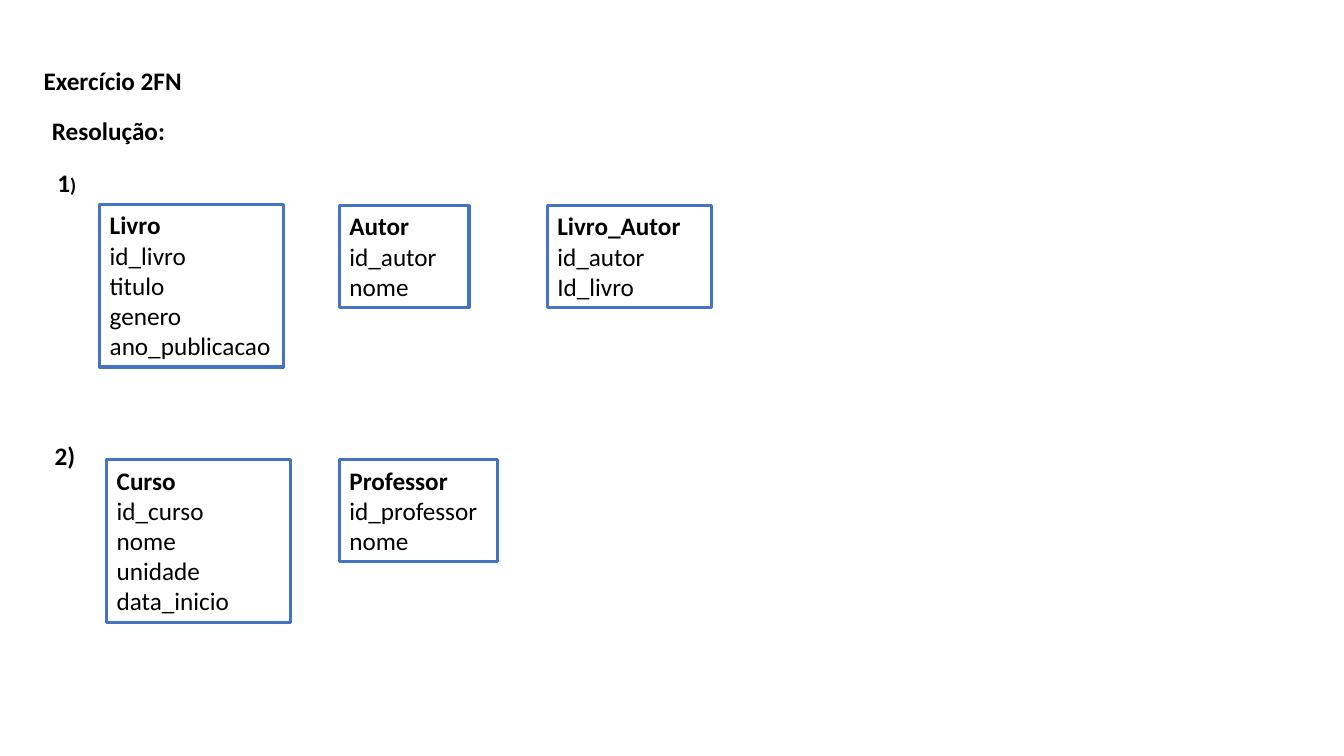
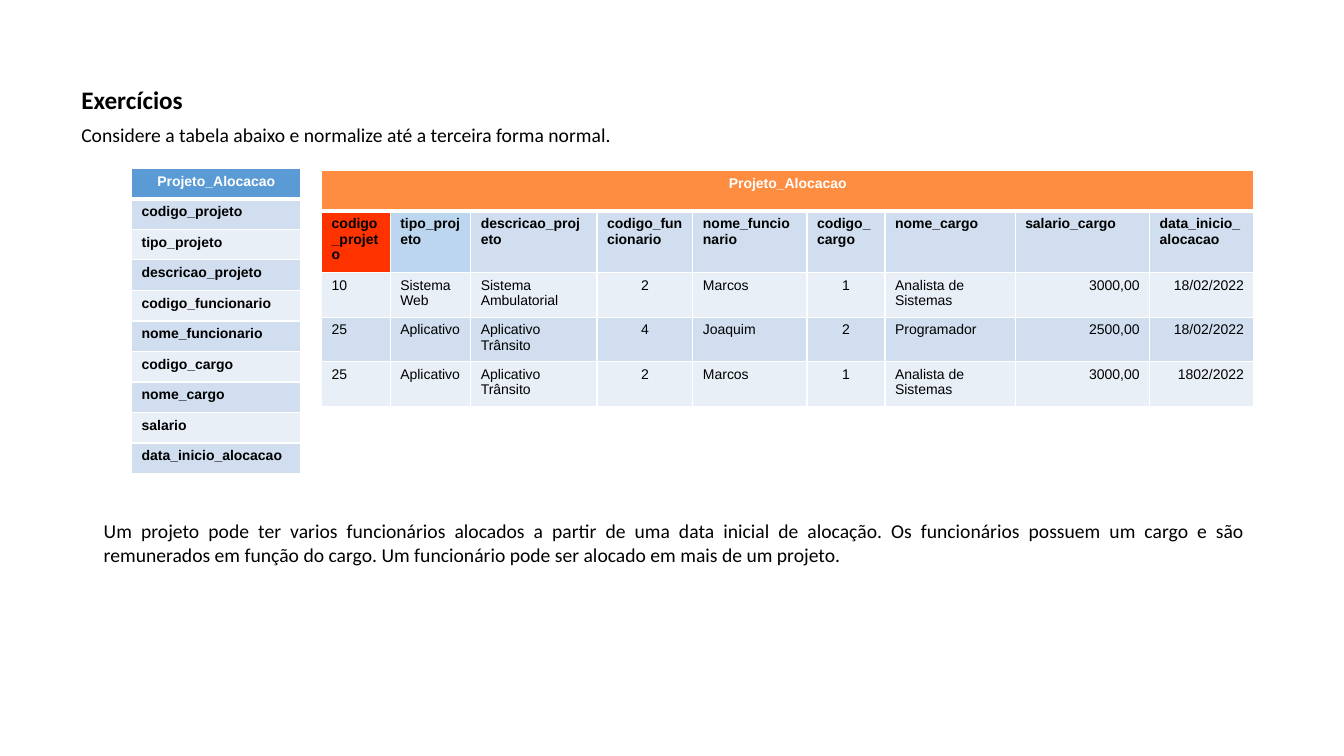
from dataclasses import dataclass

from lxml import etree
from pptx import Presentation
from pptx.dml import color
from pptx.enum import shapes, text
from pptx.oxml import ns
from pptx.util import Pt

LEFT, CENTER, RIGHT, JUSTIFY = (
    text.PP_ALIGN.LEFT, text.PP_ALIGN.CENTER, text.PP_ALIGN.RIGHT, text.PP_ALIGN.JUSTIFY)


@dataclass(frozen=True)
class Theme:
    text_font: str = "Calibri"
    table_font: str = "Arial"
    heading_size: float = 18
    body_size: float = 14
    table_size: float = 10
    black: str = "000000"
    white: str = "FFFFFF"
    outline: str = "4472C4"
    blue_header: str = "5B9BD5"
    orange_header: str = "FF8D41"
    primary_key: str = "FF3300"
    partial_key: str = "BBD6EE"
    bands: tuple = ("D0DEEF", "E9EFF7")


THEME = Theme()
ENTITY_LINE, ENTITY_PADDING = 21.75, 7.2

FIELDS = ["codigo_projeto", "tipo_projeto", "descricao_projeto", "codigo_funcionario",
          "nome_funcionario", "codigo_cargo", "nome_cargo", "salario", "data_inicio_alocacao"]
COLUMN_WIDTHS = [49, 57.5, 90.25, 68.5, 81.5, 55.75, 93, 96, 74.5]
COLUMN_ALIGNS = [LEFT, LEFT, LEFT, CENTER, LEFT, CENTER, LEFT, RIGHT, RIGHT]
ALLOCATIONS = [
    ["10", "Sistema Web", "Sistema Ambulatorial", "2", "Marcos", "1",
     "Analista de Sistemas", "3000,00", "18/02/2022"],
    ["25", "Aplicativo", "Aplicativo Trânsito", "4", "Joaquim", "2",
     "Programador", "2500,00", "18/02/2022"],
    ["25", "Aplicativo", "Aplicativo Trânsito", "2", "Marcos", "1",
     "Analista de Sistemas", "3000,00", "1802/2022"],
]


def rgb(value):
    return color.RGBColor.from_string(value)


def style(para, size, bold=False, ink=THEME.black, name=THEME.text_font):
    font = para.font
    font.name, font.size, font.bold = name, Pt(size), bold
    font.color.rgb = rgb(ink)


def add_text(page, left, top, width, height):
    box = page.shapes.add_textbox(Pt(left), Pt(top), Pt(width), Pt(height))
    box.text_frame.word_wrap = True
    return box.text_frame


def add_heading(page, words, left, top, width, height, small_tail=""):
    frame = add_text(page, left, top, width, height)
    frame.vertical_anchor = text.MSO_ANCHOR.MIDDLE
    para = frame.paragraphs[0]
    para.line_spacing = 0.9
    style(para, THEME.heading_size, bold=True)
    para.add_run().text = words
    if small_tail:
        span = para.add_run()
        span.text = small_tail
        span.font.size = Pt(THEME.body_size)


def add_body(page, words, left, top, width, height):
    para = add_text(page, left, top, width, height).paragraphs[0]
    para.text = words
    para.alignment = JUSTIFY
    style(para, THEME.body_size)


def add_entity(page, left, top, width, lines):
    height = ENTITY_PADDING + ENTITY_LINE * len(lines)
    box = page.shapes.add_shape(
        shapes.MSO_SHAPE.RECTANGLE, Pt(left), Pt(top), Pt(width), Pt(height))
    box.shadow.inherit = False
    box.fill.solid()
    box.fill.fore_color.rgb = rgb(THEME.white)
    box.line.color.rgb = rgb(THEME.outline)
    box.line.width = Pt(2.25)
    frame = box.text_frame
    frame.word_wrap = True
    frame.vertical_anchor = text.MSO_ANCHOR.TOP
    for index, line in enumerate(lines):
        para = frame.add_paragraph() if index else frame.paragraphs[0]
        para.text = line
        para.alignment = LEFT
        style(para, THEME.heading_size, bold=index == 0)


def set_borders(cell, row):
    properties = cell._tc.get_or_add_tcPr()
    thick_side = {0: "lnB", 1: "lnT"}.get(row)
    for side in ("lnL", "lnR", "lnT", "lnB"):
        width = Pt(3 if side == thick_side else 1)
        line = etree.SubElement(properties, ns.qn(f"a:{side}"), w=str(width))
        fill = etree.SubElement(line, ns.qn("a:solidFill"))
        etree.SubElement(fill, ns.qn("a:srgbClr"), val=THEME.white)


def fill_cell(cell, fill):
    cell.fill.solid()
    cell.fill.fore_color.rgb = rgb(fill)


def add_grid(page, left, top, widths, heights, title, header_fill, rows, aligns, bold_rows):
    grid = page.shapes.add_table(
        len(heights), len(widths), Pt(left), Pt(top), Pt(sum(widths)), Pt(sum(heights))).table
    grid.first_row = grid.horz_banding = False
    for column, width in zip(grid.columns, widths):
        column.width = Pt(width)
    for row, height in zip(grid.rows, heights):
        row.height = Pt(height)
    title_row = [title] + [""] * (len(widths) - 1)
    for i, values in enumerate([title_row] + rows):
        for j, value in enumerate(values):
            cell = grid.cell(i, j)
            set_borders(cell, i)
            fill_cell(cell, THEME.bands[(i - 1) % 2] if i else header_fill)
            para = cell.text_frame.paragraphs[0]
            para.text = value
            bold = i <= bold_rows
            para.alignment = CENTER if i == 0 else LEFT if bold else aligns[j]
            style(para, THEME.table_size, bold, THEME.black if i else THEME.white,
                  THEME.table_font)
    if len(widths) > 1:
        grid.cell(0, 0).merge(grid.cell(0, len(widths) - 1))
    return grid


def build_solution(page):
    add_heading(page, "Exercício 2FN", 24, 6.5, 151, 104.5)
    add_heading(page, "Resolução:", 30, 80, 121, 29)
    add_heading(page, "1", 34, 116, 86, 31, small_tail=")")
    add_heading(page, "2)", 32, 311, 44, 31)
    add_entity(page, 71.25, 146.25, 131,
               ["Livro", "id_livro", "titulo", "genero", "ano_publicacao"])
    add_entity(page, 242.5, 147, 92.5, ["Autor", "id_autor", "nome"])
    add_entity(page, 391, 147, 117, ["Livro_Autor", "id_autor", "Id_livro"])
    add_entity(page, 76.25, 328.5, 131,
               ["Curso", "id_curso", "nome", "unidade", "data_inicio"])
    add_entity(page, 242.5, 328.5, 113, ["Professor", "id_professor", "nome"])


def build_exercise(page):
    add_heading(page, "Exercícios", 51, 20, 828, 104.5)
    add_body(page, "Considere a tabela abaixo e normalize até a terceira forma normal.",
             51, 84.25, 873, 24.5)
    add_grid(page, 94, 120.25, [121], [21.8] * (len(FIELDS) + 1), "Projeto_Alocacao",
             THEME.blue_header, [[field] for field in FIELDS], [LEFT], len(FIELDS))
    headers = ["salario_cargo" if field == "salario" else field for field in FIELDS]
    grid = add_grid(page, 229.75, 121.75, COLUMN_WIDTHS, [29, 44, 31.8, 31.8, 31.8],
                    "Projeto_Alocacao", THEME.orange_header, [headers] + ALLOCATIONS,
                    COLUMN_ALIGNS, 1)
    fill_cell(grid.cell(1, 0), THEME.primary_key)
    fill_cell(grid.cell(1, 1), THEME.partial_key)
    add_body(page, "Um projeto pode ter varios funcionários alocados a partir de uma data "
             "inicial de alocação. Os funcionários possuem um cargo e são remunerados em "
             "função do cargo. Um funcionário pode ser alocado em mais de um projeto.",
             67, 367.25, 829.5, 41)


def main():
    deck = Presentation()
    deck.slide_width, deck.slide_height = Pt(960), Pt(540)
    for build in (build_solution, build_exercise):
        build(deck.slides.add_slide(deck.slide_layouts[6]))
    deck.save("out.pptx")


if __name__ == "__main__":
    main()
